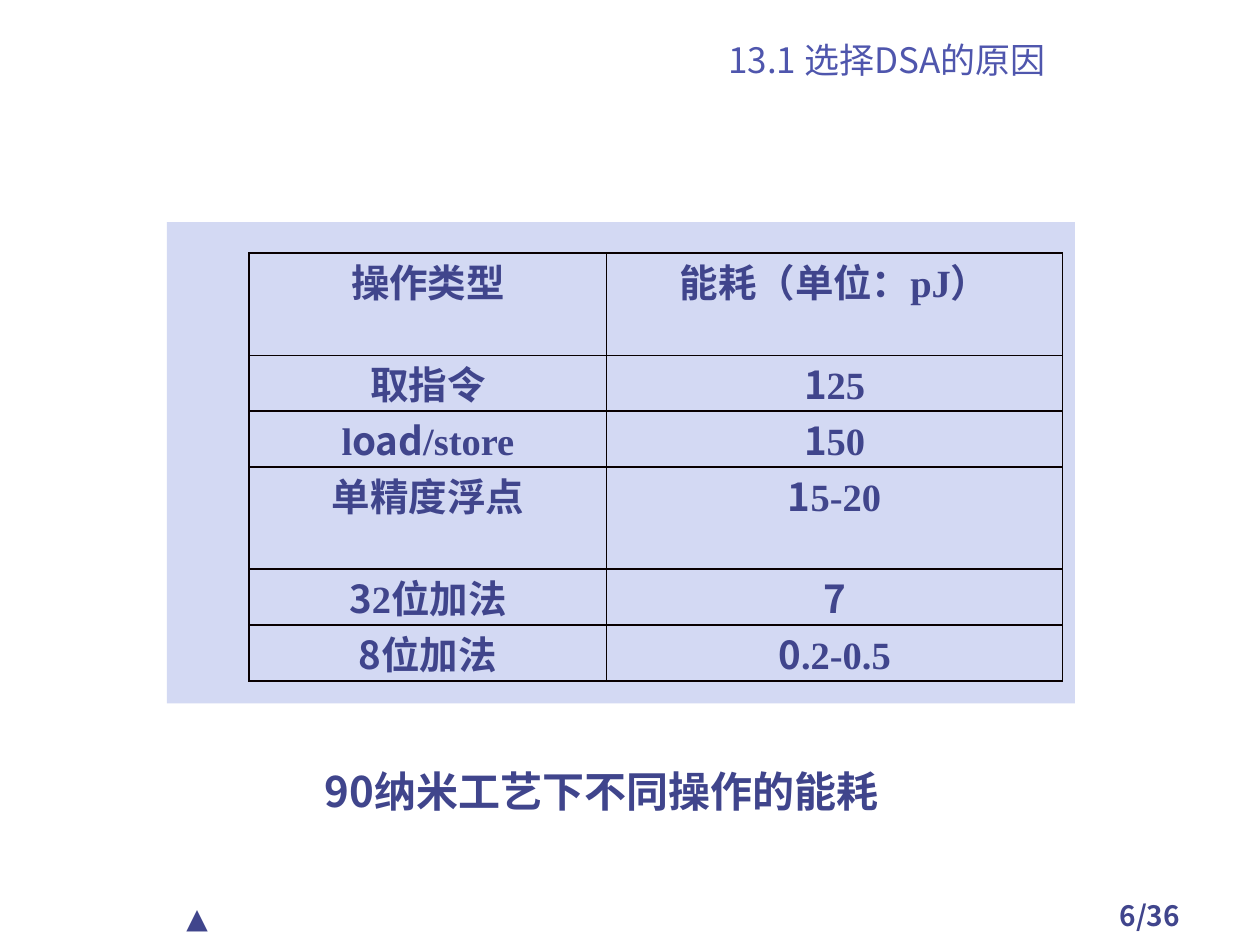
"""Build a slide with a table of energy use per operation type."""
from lxml.etree import SubElement
from pptx import Presentation
from pptx.dml.color import RGBColor
from pptx.enum.shapes import MSO_SHAPE
from pptx.enum.text import MSO_ANCHOR, PP_ALIGN
from pptx.oxml.ns import qn
from pptx.util import Pt

HUES = {"ink": "40458C", "title": "4F56AD", "panel": "D3D9F3", "rule": "080000"}
SANS, SERIF = "Noto Sans CJK SC", "Times New Roman"


def style(font, size, hue="ink", bold=False, name=SANS):
    font.size = Pt(size)
    font.bold = bold
    font.color.rgb = RGBColor.from_string(HUES[hue])
    font.name = name
    SubElement(font._element, qn("a:ea"), typeface=name)


deck = Presentation()
deck.slide_width, deck.slide_height = Pt(720), Pt(540)
slide = deck.slides.add_slide(deck.slide_layouts[5])
shapes = slide.shapes

panel = shapes.add_shape(MSO_SHAPE.RECTANGLE, Pt(95.3), Pt(127), Pt(519), Pt(275))
panel.shadow.inherit = False
panel.fill.solid()
panel.fill.fore_color.rgb = RGBColor.from_string(HUES["panel"])
panel.line.fill.background()

title = shapes.title
title.left, title.top, title.width, title.height = Pt(306), Pt(19.5), Pt(402), Pt(30)
title.text_frame.text = "13.1 选择DSA的原因"
title.text_frame.vertical_anchor = MSO_ANCHOR.BOTTOM
head = title.text_frame.paragraphs[0]
head.alignment = PP_ALIGN.CENTER
style(head.font, 20, "title")

labels = [
    ("6/36", 606, 510, 102, 24, 16, True, SANS, PP_ALIGN.CENTER),
    ("▲", 99.5, 511, 102, 27, 16, False, "Cabin", PP_ALIGN.LEFT),
    ("90纳米工艺下不同操作的能耗", 178.5, 434, 374.5, 36, 24, True, SANS, PP_ALIGN.LEFT),
]
for text, left, top, width, height, size, bold, name, align in labels:
    box = shapes.add_textbox(Pt(left), Pt(top), Pt(width), Pt(height))
    box.text_frame.word_wrap = True
    para = box.text_frame.paragraphs[0]
    para.text = text
    para.alignment = align
    style(para.font, size, bold=bold, name=name)

rows = [
    ("操作类型", "能耗（单位：|pJ|）"),
    ("取指令", "1|25"),
    ("|l|oad|/store", "1|50"),
    ("单精度浮点", "1|5-20"),
    ("3|2|位加法", "7"),
    ("8位加法", "0|.2-0.5"),
]
tall, low = 58.4, 31.9
heights = [tall, low, low, tall, low, low]
widths = [204.2, 260.6]
table = shapes.add_table(len(rows), 2, Pt(142.4), Pt(144.7),
                         Pt(sum(widths)), Pt(sum(heights))).table
table.first_row = table.horz_banding = False
for col, width in zip(table.columns, widths):
    col.width = Pt(width)
for row, height, texts in zip(table.rows, heights, rows):
    row.height = Pt(height)
    for cell, text in zip(row.cells, texts):
        cell.margin_left = cell.margin_right = Pt(5)
        cell.margin_top = cell.margin_bottom = 0
        para = cell.text_frame.paragraphs[0]
        para.alignment = PP_ALIGN.CENTER
        style(para.font, 22, bold=True)
        for spot, piece in enumerate(text.split("|")):
            if piece:
                run = para.add_run()
                run.text = piece
                style(run.font, 22, bold=True, name=SERIF if spot % 2 else SANS)
        props = cell._tc.get_or_add_tcPr()
        for side in ("lnL", "lnR", "lnT", "lnB"):
            line = SubElement(props, qn(f"a:{side}"), w=str(Pt(1)))
            fill = SubElement(line, qn("a:solidFill"))
            SubElement(fill, qn("a:srgbClr"), val=HUES["rule"])
        cell.fill.background()

deck.save("out.pptx")
